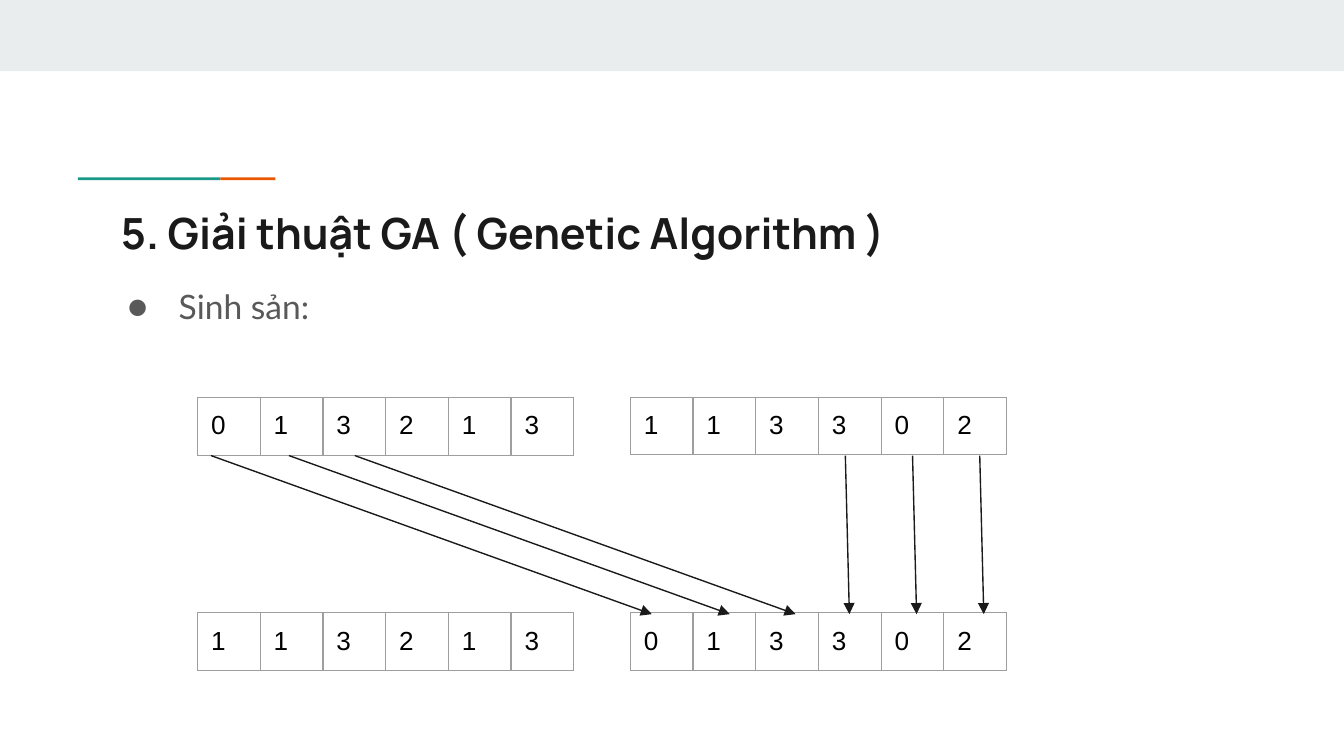
from lxml.etree import SubElement
from pptx import Presentation
from pptx.dml.color import RGBColor
from pptx.enum.shapes import MSO_CONNECTOR as Connector, MSO_SHAPE as Preset
from pptx.enum.text import MSO_ANCHOR as Anchor, MSO_AUTO_SIZE as AutoSize, PP_ALIGN as Align
from pptx.oxml.ns import qn
from pptx.util import Inches, Pt

INK, GREY, BORDER = "1A1A1A", "595959", "9E9E9E"
SLIDE_WIDTH = 10
SLIDE_HEIGHT = SLIDE_WIDTH * 9 / 16
COLUMN_WIDTH = 2.8 / 6
LEFT, RIGHT = 1.47, 4.69
PARENTS_TOP, CHILDREN_TOP = 2.96, 4.56
ARROW_TOP, ARROW_BOTTOM = 3.39, 4.57
MARGINS = dict.fromkeys(
    ("margin_left", "margin_top", "margin_right", "margin_bottom"), Inches(0.1))


def color(value):
    """Turn a hex string into a colour."""
    return RGBColor.from_string(value)


def apply_format(target, values):
    """Set every attribute named in values on target."""
    for name, value in values.items():
        setattr(target, name, value)


def add_child(parent, tag, **attributes):
    """Append a DrawingML element to parent and return it."""
    return SubElement(parent, qn(tag), attributes)


def write(para, text, font, size, ink, bold=False):
    """Add one formatted run to a paragraph."""
    span = para.add_run()
    span.text = text
    apply_format(span.font, {"name": font, "size": Pt(size), "bold": bold})
    span.font.color.rgb = color(ink)


def place(box, left, top, width, height):
    """Move a placeholder and prepare its frame, returning the first paragraph."""
    position = {"left": left, "top": top, "width": width, "height": height}
    apply_format(box, {name: Inches(value) for name, value in position.items()})
    apply_format(box.text_frame, {
        **MARGINS, "word_wrap": True, "auto_size": AutoSize.NONE,
        "vertical_anchor": Anchor.TOP})
    para = box.text_frame.paragraphs[0]
    apply_format(para, {"alignment": Align.LEFT, "space_before": Pt(0)})
    return para


def add_bar(page, left, top, width, height, fill):
    """Draw a plain filled rectangle."""
    bar = page.shapes.add_shape(Preset.RECTANGLE, *map(Inches, (left, top, width, height)))
    bar.shadow.inherit = False
    bar.fill.solid()
    bar.fill.fore_color.rgb = color(fill)
    bar.line.fill.background()


def add_bullet(para, symbol, ink):
    """Give a paragraph a hanging bullet."""
    properties = para._p.get_or_add_pPr()
    properties.set("marL", str(Inches(0.5)))
    properties.set("indent", str(Inches(-0.38)))
    add_child(add_child(properties, "a:buClr"), "a:srgbClr", val=ink)
    add_child(properties, "a:buFont", typeface="Lato")
    add_child(properties, "a:buChar", char=symbol)


def add_borders(cell):
    """Outline the four sides of a table cell."""
    properties = cell._tc.get_or_add_tcPr()
    for side in ("a:lnL", "a:lnR", "a:lnT", "a:lnB"):
        line = add_child(properties, side, w=str(Pt(0.75)))
        add_child(add_child(line, "a:solidFill"), "a:srgbClr", val=BORDER)


def add_chromosome(page, genes, left, top, height=0.43):
    """Draw a one-row table with one gene in each cell."""
    size = (left, top, COLUMN_WIDTH * len(genes), height)
    table = page.shapes.add_table(1, len(genes), *map(Inches, size)).table
    apply_format(table, {"first_row": False, "horz_banding": False})
    for column, cell, gene in zip(table.columns, table.rows[0].cells, genes):
        column.width = Inches(COLUMN_WIDTH)
        apply_format(cell, MARGINS)
        add_borders(cell)
        cell.fill.background()
        write(cell.text_frame.paragraphs[0], gene, "Arial", 14, "000000")


def add_arrow(page, start, end):
    """Draw an arrow from a parent row down to a child row."""
    points = (start, ARROW_TOP, end, ARROW_BOTTOM)
    arrow = page.shapes.add_connector(Connector.STRAIGHT, *map(Inches, points))
    arrow.line.width = Pt(0.75)
    arrow.line.color.rgb = color(INK)
    add_child(arrow.line._get_or_add_ln(), "a:tailEnd", type="triangle")
    add_child(arrow._element.spPr, "a:effectLst")


def main():
    """Build the crossover slide."""
    deck = Presentation()
    apply_format(deck, {
        "slide_width": Inches(SLIDE_WIDTH), "slide_height": Inches(SLIDE_HEIGHT)})
    page = deck.slides.add_slide(deck.slide_layouts[1])

    add_bar(page, 0, 0, SLIDE_WIDTH, 0.53, "E9EDEE")
    add_bar(page, 0.58, 1.32, 1.06, 0.02, "1A9988")
    add_bar(page, 1.64, 1.32, 0.41, 0.02, "EB5600")

    title = place(page.shapes.title, 0.8, 1.44, 8.41, 0.59)
    write(title, "5. Giải thuật GA ( Genetic Algorithm )", "Manrope", 23, INK, bold=True)

    item = place(page.placeholders[1], 0.73, 1.98, 2.35, 0.5)
    item.line_spacing = 1.15
    add_bullet(item, "●", GREY)
    write(item, "Sinh sản:", "Lato", 18, GREY)

    add_chromosome(page, "013213", LEFT, PARENTS_TOP)
    add_chromosome(page, "113302", RIGHT, PARENTS_TOP, height=0.42)
    add_chromosome(page, "113213", LEFT, CHILDREN_TOP)
    add_chromosome(page, "013302", RIGHT, CHILDREN_TOP)

    for starts, shift in (((2.64, 2.15, 1.57), 3.28), ((6.29, 6.79, 7.29), 0.03)):
        for start in starts:
            add_arrow(page, start, start + shift)

    deck.save("out.pptx")


if __name__ == "__main__":
    main()
